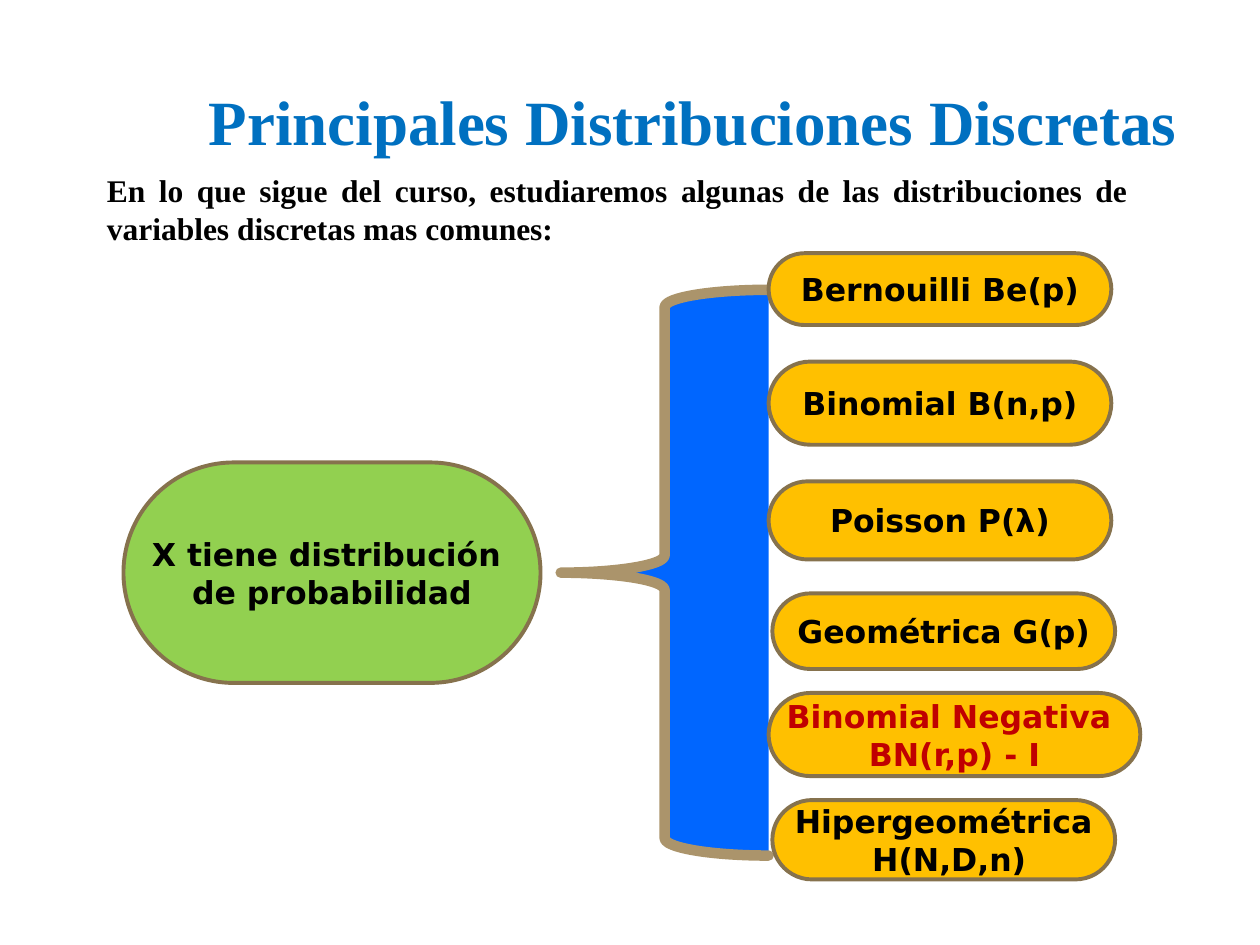
from pptx import Presentation
from pptx.dml.color import RGBColor
from pptx.enum.shapes import MSO_SHAPE
from pptx.enum.text import MSO_ANCHOR, PP_ALIGN
from pptx.oxml.ns import qn
from pptx.util import Inches, Pt

ROUNDED = MSO_SHAPE.ROUNDED_RECTANGLE
BRACE = MSO_SHAPE.LEFT_BRACE
MIDDLE = MSO_ANCHOR.MIDDLE
CENTER = PP_ALIGN.CENTER
JUSTIFY = PP_ALIGN.JUSTIFY

COLORS = {
    "title": "0070C0",
    "text": "000000",
    "highlight": "C00000",
    "brace_fill": "0066FF",
    "brace_line": "AB946B",
    "outline": "86724D",
    "distribution": "FFC000",
    "variable": "92D050",
}
SERIF = "Times New Roman"
SANS = "DejaVu Sans"


def rgb(name):
    return RGBColor.from_string(COLORS[name])


class SlideBuilder:
    """Holds the style and the current slide."""

    title_size = Pt(36)
    body_size = Pt(18)

    def __init__(self, slide):
        self.slide = slide

    def set_text(self, shape, text, font, size, color, alignment):
        frame = shape.text_frame
        frame.text = text
        frame.vertical_anchor = MIDDLE
        for paragraph in frame.paragraphs:
            paragraph.alignment = alignment
            for run in paragraph.runs:
                run.font.name = font
                run.font.size = size
                run.font.bold = True
                run.font.color.rgb = rgb(color)

    def title(self, text, left, top, width, height):
        shape = self.slide.shapes.title
        shape.left, shape.top = Inches(left), Inches(top)
        shape.width, shape.height = Inches(width), Inches(height)
        self.set_text(shape, text, SERIF, self.title_size, "title", CENTER)

    def paragraph_box(self, text, left, top, width, height):
        box = self.slide.shapes.add_textbox(
            Inches(left), Inches(top), Inches(width), Inches(height))
        box.text_frame.word_wrap = True
        self.set_text(box, text, SERIF, self.body_size, "text", JUSTIFY)

    def outlined(self, kind, left, top, width, height, fill, line, line_width):
        shape = self.slide.shapes.add_shape(
            kind, Inches(left), Inches(top), Inches(width), Inches(height))
        shape.shadow.inherit = False
        shape.fill.solid()
        shape.fill.fore_color.rgb = rgb(fill)
        shape.line.color.rgb = rgb(line)
        shape.line.width = Pt(line_width)
        return shape

    def brace(self, left, top, width, height):
        shape = self.outlined(BRACE, left, top, width, height,
                              "brace_fill", "brace_line", 6)
        # Round line ends
        shape.element.spPr.find(qn("a:ln")).set("cap", "rnd")

    def pill(self, text, left, top, width, height, fill, color="text"):
        shape = self.outlined(ROUNDED, left, top, width, height,
                              fill, "outline", 2.25)
        shape.adjustments[0] = 0.5
        frame = shape.text_frame
        frame.margin_left = frame.margin_right = Inches(0.05)
        frame.margin_top = frame.margin_bottom = Inches(0.02)
        frame.word_wrap = False
        self.set_text(shape, text, SANS, self.body_size, color, CENTER)


def main():
    presentation = Presentation()
    presentation.slide_width = Inches(10)
    presentation.slide_height = Inches(7.5)
    title_only = presentation.slide_layouts[5]
    builder = SlideBuilder(presentation.slides.add_slide(title_only))

    # Heading and introduction
    builder.title("Principales Distribuciones Discretas", 1.5, 0.33, 8, 1.25)
    builder.paragraph_box(
        "En lo que sigue del curso, estudiaremos algunas de las "
        "distribuciones de variables discretas mas comunes:",
        0.75, 1.3, 8.3, 0.71)

    # Brace that groups the distributions
    builder.brace(4.45, 2.3, 1.65, 4.49)

    # Distributions: text, left, top, width, height, text colour
    distributions = [
        ("Bernouilli Be(p)", 6.1, 2.01, 2.72, 0.57, "text"),
        ("Binomial B(n,p)", 6.1, 2.87, 2.72, 0.66, "text"),
        ("Poisson P(λ)", 6.1, 3.82, 2.72, 0.62, "text"),
        ("Geométrica G(p)", 6.13, 4.71, 2.72, 0.6, "text"),
        ("Binomial Negativa \nBN(r,p) - I", 6.1, 5.5, 2.95, 0.66, "highlight"),
        ("Hipergeométrica\n H(N,D,n)", 6.13, 6.35, 2.72, 0.63, "text"),
    ]
    for text, left, top, width, height, color in distributions:
        builder.pill(text, left, top, width, height, "distribution", color)

    # Random variable
    builder.pill("X tiene distribución \nde probabilidad",
                 0.98, 3.67, 3.31, 1.75, "variable")

    presentation.save("out.pptx")


if __name__ == "__main__":
    main()
